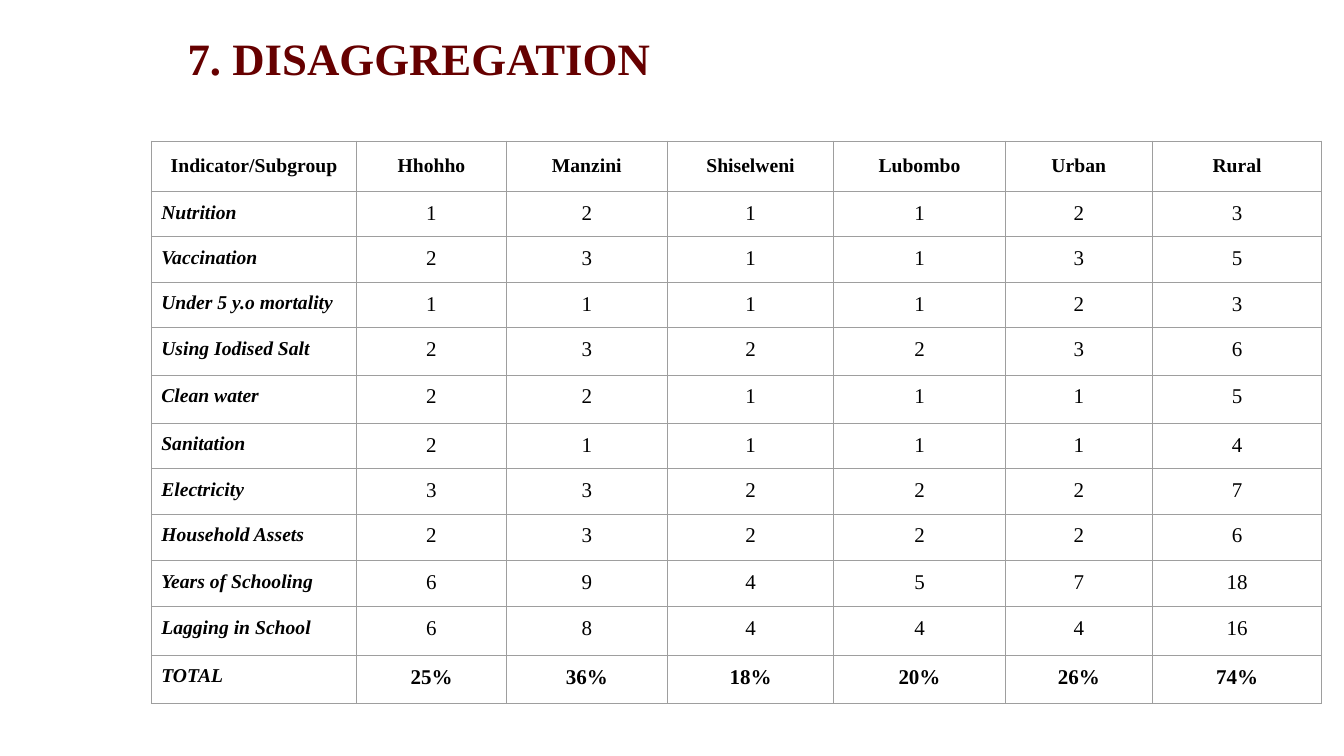
import pptx
import pptx.dml.color
import pptx.enum.text
import pptx.oxml
import pptx.oxml.ns
import pptx.util
from pptx.util import Inches

TITLE = "7. DISAGGREGATION"
SUBGROUPS = ("Indicator/Subgroup", "Hhohho", "Manzini", "Shiselweni", "Lubombo", "Urban", "Rural")
INDICATORS = (
    ("Nutrition", 1, 2, 1, 1, 2, 3),
    ("Vaccination", 2, 3, 1, 1, 3, 5),
    ("Under 5 y.o mortality", 1, 1, 1, 1, 2, 3),
    ("Using Iodised Salt", 2, 3, 2, 2, 3, 6),
    ("Clean water", 2, 2, 1, 1, 1, 5),
    ("Sanitation", 2, 1, 1, 1, 1, 4),
    ("Electricity", 3, 3, 2, 2, 2, 7),
    ("Household Assets", 2, 3, 2, 2, 2, 6),
    ("Years of Schooling", 6, 9, 4, 5, 7, 18),
    ("Lagging in School", 6, 8, 4, 4, 4, 16),
)
TOTALS = ("TOTAL", "25%", "36%", "18%", "20%", "26%", "74%")
ROWS = (SUBGROUPS, *INDICATORS, TOTALS)

COLUMN_WIDTHS = (2.04, 1.48, 1.6, 1.65, 1.7, 1.46, 1.68)
ROW_HEIGHTS = (0.5, 0.45, 0.45, 0.45, 0.47, 0.48, 0.45, 0.45, 0.46, 0.46, 0.48, 0.48)


class Theme:
    font = "Times New Roman"
    title_color, text_color, border_color = "660000", "000000", "9E9E9E"
    title_size, label_size, value_size = 32, 14, 15
    border_width = 0.75
    cell_margin = 0.1


def add_run(paragraph, text, size, color, bold=False, italic=False):
    run = paragraph.add_run()
    run.text = text
    run.font.name = Theme.font
    run.font.size = pptx.util.Pt(size)
    run.font.bold = bold
    run.font.italic = italic
    run.font.color.rgb = pptx.dml.color.RGBColor.from_string(color)


def draw_borders(cell):
    """Line all four sides; border elements must come before the cell's fill."""
    properties = cell._tc.get_or_add_tcPr()
    for position, side in enumerate(("lnL", "lnR", "lnT", "lnB")):
        properties.insert(position, pptx.oxml.parse_xml(
            f'<a:{side} {pptx.oxml.ns.nsdecls("a")} w="{pptx.util.Pt(Theme.border_width)}">'
            f'<a:solidFill><a:srgbClr val="{Theme.border_color}"/></a:solidFill></a:{side}>'))


def fill_cell(cell, content, row, column):
    is_header, is_label, is_total = row == 0, column == 0, row == len(ROWS) - 1
    cell.fill.background()
    draw_borders(cell)
    margin = Inches(Theme.cell_margin)
    cell.margin_left = cell.margin_right = cell.margin_top = cell.margin_bottom = margin
    anchors = pptx.enum.text.MSO_ANCHOR
    cell.vertical_anchor = anchors.MIDDLE if is_header else anchors.TOP
    paragraph = cell.text_frame.paragraphs[0]
    alignments = pptx.enum.text.PP_ALIGN
    paragraph.alignment = alignments.LEFT if is_label and not is_header else alignments.CENTER
    add_run(paragraph, str(content),
            Theme.label_size if is_header or is_label else Theme.value_size,
            Theme.text_color,
            bold=is_header or is_label or is_total,
            italic=is_label and not is_header)


def add_title(slide):
    title = slide.shapes.title
    title.left, title.top, title.width, title.height = map(Inches, (1.76, 0.25, 7.07, 0.64))
    frame = title.text_frame
    frame.word_wrap = True
    frame.auto_size = pptx.enum.text.MSO_AUTO_SIZE.SHAPE_TO_FIT_TEXT
    frame.vertical_anchor = pptx.enum.text.MSO_ANCHOR.TOP
    frame.margin_left = frame.margin_right = Inches(0.1)
    frame.margin_top = frame.margin_bottom = Inches(0.05)
    paragraph = frame.paragraphs[0]
    paragraph.alignment = pptx.enum.text.PP_ALIGN.LEFT
    paragraph.line_spacing = 1.0
    paragraph.space_before = pptx.util.Pt(0)
    add_run(paragraph, TITLE, Theme.title_size, Theme.title_color, bold=True)


def add_indicator_table(slide):
    indicators = slide.shapes.add_table(
        len(ROWS), len(SUBGROUPS), Inches(1.5), Inches(1.4),
        Inches(sum(COLUMN_WIDTHS)), Inches(sum(ROW_HEIGHTS))).table
    indicators.first_row = indicators.horz_banding = False
    for column, width in zip(indicators.columns, COLUMN_WIDTHS):
        column.width = Inches(width)
    for row, height in zip(indicators.rows, ROW_HEIGHTS):
        row.height = Inches(height)
    for row, contents in enumerate(ROWS):
        for column, content in enumerate(contents):
            fill_cell(indicators.cell(row, column), content, row, column)


def main():
    presentation = pptx.Presentation()
    presentation.slide_width, presentation.slide_height = Inches(13.33), Inches(7.5)
    slide = presentation.slides.add_slide(presentation.slide_layouts.get_by_name("Title Only"))
    add_title(slide)
    add_indicator_table(slide)
    presentation.save("out.pptx")


if __name__ == "__main__":
    main()
